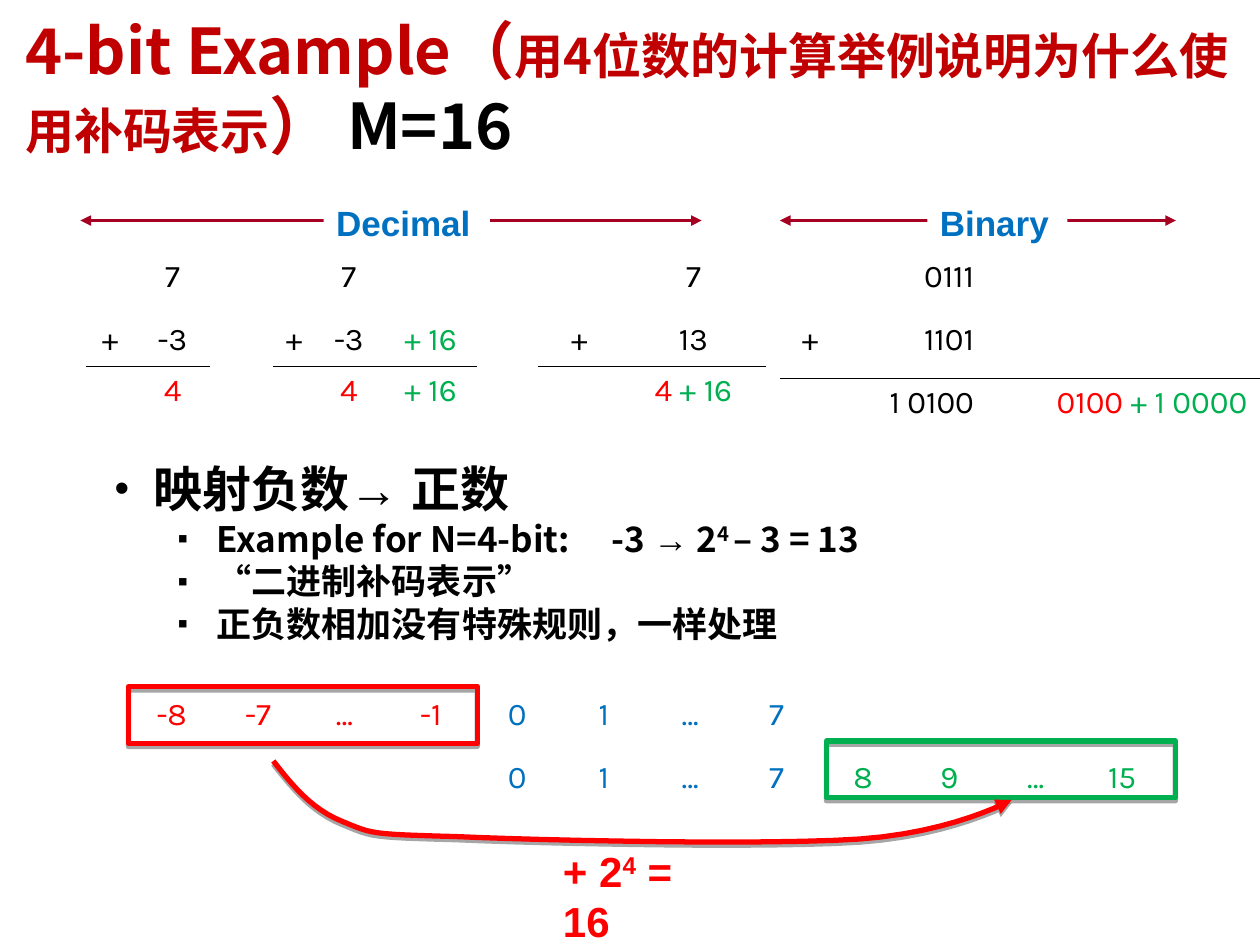
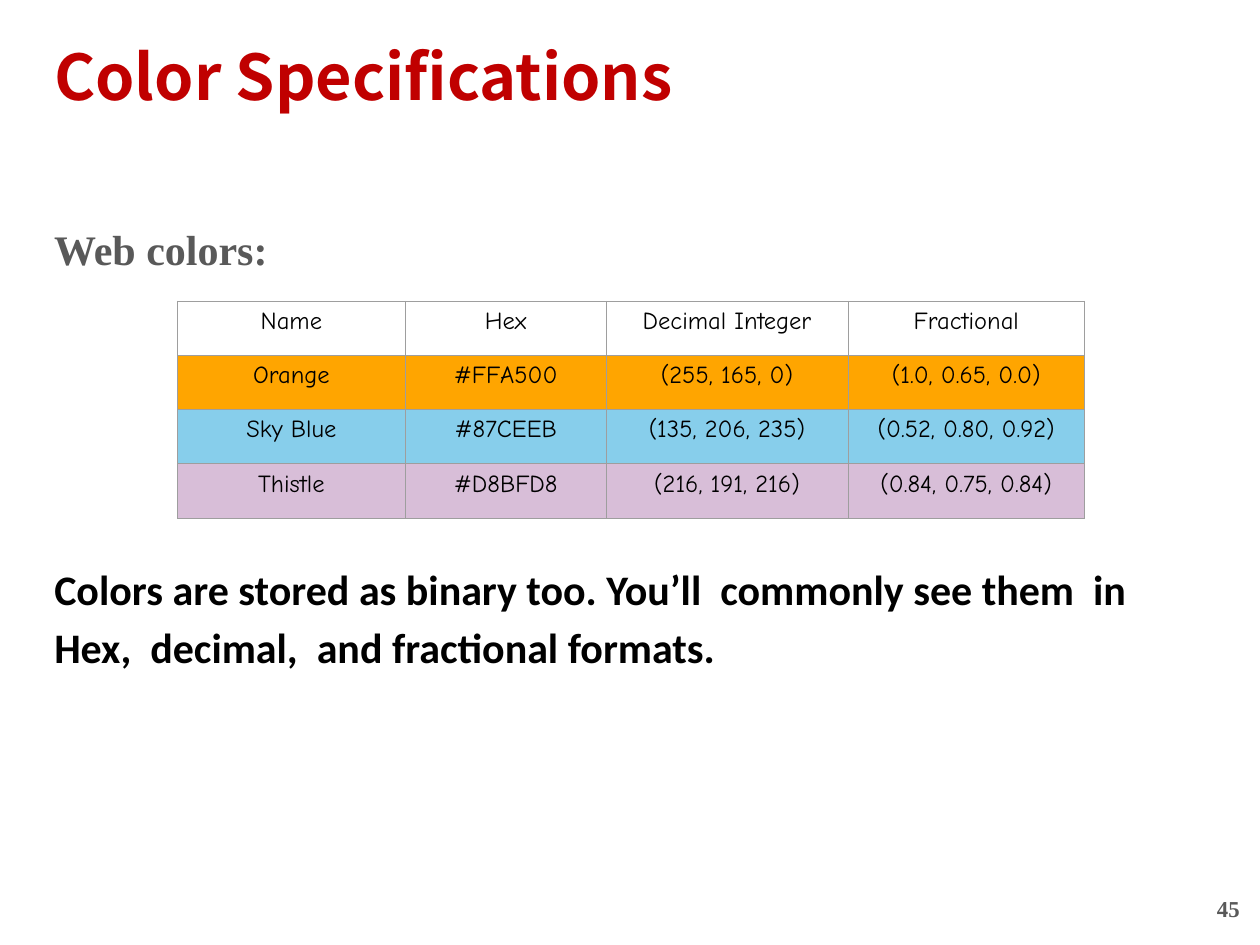
from dataclasses import dataclass

from lxml import etree
from pptx import Presentation
from pptx.dml.color import RGBColor
from pptx.enum.shapes import MSO_CONNECTOR, MSO_SHAPE
from pptx.enum.text import MSO_ANCHOR, MSO_AUTO_SIZE, PP_ALIGN
from pptx.oxml.ns import qn
from pptx.util import Pt

LEFT, CENTER, RIGHT = PP_ALIGN.LEFT, PP_ALIGN.CENTER, PP_ALIGN.RIGHT
TOP, NO_FIT = MSO_ANCHOR.TOP, MSO_AUTO_SIZE.NONE
STRAIGHT, RECTANGLE = MSO_CONNECTOR.STRAIGHT, MSO_SHAPE.RECTANGLE
PLAIN_TABLE = "{2D5ABB26-0587-4C30-8999-92F81FD0307C}"
INSETS = (7.2, 3.6, 7.2, 3.6)
NO_INSETS = (0, 0, 0, 0)


@dataclass(frozen=True)
class Theme:
    black: str = "000000"
    white: str = "FFFFFF"
    title: str = "C00000"
    red: str = "FF0000"
    green: str = "00B050"
    blue: str = "0070C0"
    arrow: str = "A50021"
    gray: str = "595959"
    grid: str = "9E9E9E"
    cjk: str = "Noto Sans CJK SC"
    sans: str = "Arial"
    title_size: int = 36
    heading_size: int = 28
    body_size: int = 24
    label_size: int = 20
    number_size: int = 18
    cell_size: int = 14
    page_size: int = 13


T = Theme()
TITLE = dict(name=T.cjk, size=T.title_size, color=T.title, bold=True)
LABEL = dict(name=T.sans, size=T.label_size, color=T.blue, bold=True)
NUMBER = dict(name="Karla", size=T.number_size, color=T.black)
CELL = dict(name="Comic Neue", size=T.cell_size, color=T.black)
NOTE = dict(name="Times New Roman", color=T.gray, bold=True)


def rgb(value):
    return RGBColor.from_string(value)


def add_xml(parent, tag, **attrs):
    return etree.SubElement(parent, qn(tag), attrs)


def add_runs(p, runs, base):
    """Add (text, changes) pairs, each formatted by base plus its changes."""
    for text, changes in runs:
        r = p.add_run()
        r.text = text
        fmt = {**base, **changes}
        r.font.color.rgb = rgb(fmt.pop("color"))
        raised = fmt.pop("raised", False)
        fmt["size"] = Pt(fmt["size"])
        for key, value in fmt.items():
            setattr(r.font, key, value)
        rPr = r._r.get_or_add_rPr()
        add_xml(rPr, "a:ea", typeface=fmt["name"])
        if raised:
            rPr.set("baseline", "30000")


def set_frame(sp, insets, wrap=True):
    tf = sp.text_frame
    tf.word_wrap = wrap
    tf.auto_size = NO_FIT
    tf.vertical_anchor = TOP
    for side, value in zip(("left", "top", "right", "bottom"), insets):
        setattr(tf, f"margin_{side}", Pt(value))
    return tf


def place(sp, box):
    for side, value in zip(("left", "top", "width", "height"), box):
        setattr(sp, side, Pt(value))


def format_paragraph(p, spacing=None):
    for key, value in dict(alignment=LEFT, space_before=Pt(0), space_after=Pt(0),
                           line_spacing=spacing).items():
        setattr(p, key, value)


def add_text(slide, box, runs, base, insets=INSETS, wrap=True):
    sp = slide.shapes.add_textbox(*map(Pt, box))
    add_runs(set_frame(sp, insets, wrap).paragraphs[0], runs, base)
    return sp


def set_title(slide, box, runs, insets):
    sp = slide.shapes.title
    place(sp, box)
    sp.fill.solid()
    sp.fill.fore_color.rgb = rgb(T.white)
    p = set_frame(sp, insets).paragraphs[0]
    format_paragraph(p, Pt(43))
    add_runs(p, runs, TITLE)


def add_border(cell, side, color, width):
    ln = add_xml(cell._tc.get_or_add_tcPr(), f"a:ln{side}", w=str(Pt(width)))
    add_xml(add_xml(ln, "a:solidFill"), "a:srgbClr", val=color)


def add_grid(slide, left, top, widths, heights, style_cell):
    """Add an unstyled table and let style_cell(cell, row, col) fill each cell."""
    frame = slide.shapes.add_table(len(heights), len(widths), Pt(left), Pt(top),
                                   Pt(sum(widths)), Pt(sum(heights)))
    table = frame.table
    table.first_row = table.horz_banding = False
    table._tbl.tblPr.find(qn("a:tableStyleId")).text = PLAIN_TABLE
    for col, width in zip(table.columns, widths):
        col.width = Pt(width)
    for i, height in enumerate(heights):
        table.rows[i].height = Pt(height)
        for j in range(len(widths)):
            style_cell(table.cell(i, j), i, j)


def add_sum(slide, left, widths, heights, rows, align=CENTER):
    """Add a worked sum with a rule above its result row."""
    def style(cell, i, j):
        if i > 0:
            add_border(cell, "B" if i == 1 else "T", T.black, 0.45)
        cell.fill.background()
        p = cell.text_frame.paragraphs[0]
        p.alignment = align if j else CENTER
        add_runs(p, rows[i][j], NUMBER)

    add_grid(slide, left, 144, widths, heights, style)


def add_sums(slide):
    blank, plus = [], [("+", {})]
    seven, minus = [("7", {})], [("-3", {})]
    four = [("4", dict(color=T.red))]
    shift = [("+ 16", dict(color=T.green))]
    heights = (36, 29.3, 29.3)
    add_sum(slide, 49, (28, 43.2), heights,
            [(blank, seven), (plus, minus), (blank, four)])
    add_sum(slide, 156.2, (23, 40.3, 53.3), heights,
            [(blank, seven, blank), (plus, minus, shift), (blank, four, shift)])
    add_sum(slide, 307.4, (47.5, 82.8), heights,
            [(blank, seven), (plus, [("13", {})]),
             (blank, four + [(" + 16", dict(color=T.green))])])
    result = [("0100 ", dict(color=T.red)), ("+ 1 0000", dict(color=T.green))]
    add_sum(slide, 445.7, (34.6, 83.5, 156.2), (36, 36, 29.3),
            [(blank, [("0111", {})], blank), (plus, [("1101", {})], blank),
             (blank, [("1 0100", {})], result)], RIGHT)


def add_span(slide, x1, x2, text, label_left, label_width):
    """Add a two-headed arrow with a label that covers its middle."""
    y = 126
    line = slide.shapes.add_connector(STRAIGHT, Pt(x1), Pt(y), Pt(x2), Pt(y))
    line.line.color.rgb = rgb(T.arrow)
    line.line.width = Pt(2)
    ln = line.line._get_or_add_ln()
    for end in ("a:headEnd", "a:tailEnd"):
        add_xml(ln, end, type="triangle")
    add_xml(line._element.spPr, "a:effectLst")
    sp = add_text(slide, (label_left, y - 14.4, label_width, 31.7), [(text, {})],
                  LABEL, wrap=False)
    sp.fill.solid()
    sp.fill.fore_color.rgb = rgb(T.white)


def add_bullets(slide, box):
    items = [
        (0, [("映射负数", {}), ("→ ", dict(name=T.sans)), ("正数", {})]),
        (1, [("Example for N=4-bit:\t-3 ", {}), ("→", dict(name=T.sans)),
             (" 2", {}), ("4 ", dict(raised=True)), ("– 3 = 13", {})]),
        (1, [("“二进制补码表示”", {})]),
        (1, [("正负数相加没有特殊规则，一样处理", {})]),
    ]
    levels = [("•", 22.3, T.heading_size, 35.6), ("▪", 58.3, T.label_size, 24.2)]
    sp = slide.placeholders[1]
    place(sp, box)
    tf = set_frame(sp, INSETS)
    for i, (level, runs) in enumerate(items):
        mark, indent, size, spacing = levels[level]
        p = tf.paragraphs[0] if i == 0 else tf.add_paragraph()
        p.level = level
        pPr = p._p.get_or_add_pPr()
        pPr.set("marL", str(Pt(indent)))
        pPr.set("indent", str(Pt(-22.3)))
        add_xml(add_xml(pPr, "a:buClr"), "a:srgbClr", val=T.black)
        add_xml(pPr, "a:buSzPct", val="85000")
        add_xml(pPr, "a:buFont", typeface=T.sans)
        add_xml(pPr, "a:buChar", char=mark)
        tabs = add_xml(pPr, "a:tabLst")
        for stop in (226, 284):
            add_xml(tabs, "a:tab", pos=str(Pt(stop)), algn="l")
        format_paragraph(p, Pt(spacing))
        add_runs(p, runs, dict(name=T.cjk, size=size, color=T.black, bold=True))


def outline(sp, color):
    """Give a shape no fill, a thick line and a soft shadow below."""
    sp.fill.background()
    sp.line.color.rgb = rgb(color)
    sp.line.width = Pt(3)
    sp.shadow.inherit = False
    shadow = add_xml(sp._element.spPr.find(qn("a:effectLst")), "a:outerShdw",
                     dist=str(Pt(1.8)), dir="5400000", rotWithShape="0")
    add_xml(add_xml(shadow, "a:srgbClr", val=T.black), "a:alpha", val="35000")


def bezier(p0, p1, p2, p3, steps=12):
    for k in range(1, steps + 1):
        t = k / steps
        u = 1 - t
        yield tuple(Pt(u**3 * a + 3 * u * u * t * b + 3 * u * t * t * c + t**3 * d)
                    for a, b, c, d in zip(p0, p1, p2, p3))


def add_mapping_arrow(slide, x, y):
    knots = [(0, 0), (10.8, 13.7), (21.6, 27.4), (39.6, 34.6),
             (56.9, 41.8), (55.4, 41.8), (104.4, 43.2),
             (154.1, 45.4), (282.2, 48.2), (334.8, 44.6),
             (388.1, 41), (421.9, 22.3), (421.9, 22.3)]
    knots = [(x + dx, y + dy) for dx, dy in knots]
    points = [pt for i in range(0, len(knots) - 1, 3) for pt in bezier(*knots[i:i + 4])]
    builder = slide.shapes.build_freeform(Pt(x), Pt(y))
    builder.add_line_segments(points, close=False)
    sp = builder.convert_to_shape()
    outline(sp, T.red)
    add_xml(sp.line._get_or_add_ln(), "a:tailEnd", type="triangle")


def add_number_lines(slide, left, top):
    """Show the signed range above the unsigned range it maps to."""
    shared = ["0", "1", "…", "7"]
    gap = [""] * 4
    rows = [["-8", "-7", "…", "-1"] + shared + gap, gap + shared + ["8", "9", "…", "15"]]
    colors = (T.red, T.blue, T.green)

    def style(cell, i, j):
        cell.fill.background()
        p = cell.text_frame.paragraphs[0]
        p.alignment = CENTER
        if rows[i][j]:
            add_runs(p, [(rows[i][j], {})], {**NUMBER, "color": colors[j // 4]})

    add_grid(slide, left, top, [49.4] * 12, (36, 29.3), style)
    for dx, dy, color in ((0, -2.2, T.red), (398.9, 28.8, T.green)):
        sp = slide.shapes.add_shape(RECTANGLE, Pt(left + dx), Pt(top + dy),
                                    Pt(199.4), Pt(32.4))
        outline(sp, color)
    add_mapping_arrow(slide, left + 82.8, top + 40.3)
    add_text(slide, (left + 241.2, top + 85, 109.4, 36),
             [("+ 2", {}), ("4", dict(raised=True)), (" = 16", {})],
             {**LABEL, "size": T.body_size, "color": T.red})


def build_example(slide):
    set_title(slide, (0, 0, 720, 104.4),
              [("4-bit Example（", {}),
               ("用4位数的计算举例说明为什么使用补码表示", dict(size=T.heading_size)),
               ("） ", {}), ("M=16", dict(color=T.black))], (14.4, 6.6, 14.4, 3.6))
    add_sums(slide)
    add_span(slide, 46, 401, "Decimal", 185, 95)
    add_span(slide, 445.7, 672, "Binary", 530, 80)
    add_bullets(slide, (58.3, 256.3, 443.5, 113))
    add_number_lines(slide, 73.4, 394.6)


def add_color_table(slide, left, top):
    rows = [
        (T.white, "Name", "Hex", "Decimal Integer", "Fractional"),
        ("FFA500", "Orange", "#FFA500", "(255, 165, 0)", "(1.0, 0.65, 0.0)"),
        ("87CEEB", "Sky Blue", "#87CEEB", "(135, 206, 235)", "(0.52, 0.80, 0.92)"),
        ("D8BED8", "Thistle", "#D8BFD8", "(216, 191, 216)", "(0.84, 0.75, 0.84)"),
    ]

    def style(cell, i, j):
        for side in "LRTB":
            add_border(cell, side, T.grid, 0.34)
        cell.fill.solid()
        cell.fill.fore_color.rgb = rgb(rows[i][0])
        p = cell.text_frame.paragraphs[0]
        p.alignment = CENTER
        add_runs(p, [(rows[i][j + 1], {})], CELL)

    add_grid(slide, left, top, (130, 115, 138, 135.4), [31] * 4, style)


def build_colors(slide):
    set_title(slide, (30.2, 18.7, 479.5, 48.2), [("Color Specifications", {})],
              (0.7, 3, 0, 0))
    add_text(slide, (693.4, 510.5, 22, 16.6), [("45", {})],
             {**NOTE, "size": T.page_size}, (2, 0.7, 0, 0))
    add_text(slide, (31, 128, 275.8, 28.8), [("Web colors:", {})],
             {**NOTE, "size": T.body_size}, NO_INSETS)
    sp = slide.placeholders[1]
    place(sp, (31, 317.5, 655, 66.2))
    p = set_frame(sp, NO_INSETS).paragraphs[0]
    pPr = p._p.get_or_add_pPr()
    pPr.set("marL", "0")
    pPr.set("indent", "0")
    add_xml(pPr, "a:buNone")
    format_paragraph(p, 1.15)
    add_runs(p, [("Colors are stored as binary too. You’ll  commonly see them  in  "
                  "Hex,  decimal,  and fractional formats.", {})],
             dict(name="Calibri", size=T.body_size, color=T.black, bold=True))
    add_color_table(slide, 101.5, 172)


def main():
    prs = Presentation()
    prs.slide_width, prs.slide_height = Pt(720), Pt(540)
    for build in (build_example, build_colors):
        build(prs.slides.add_slide(prs.slide_layouts[1]))
    prs.save("out.pptx")


if __name__ == "__main__":
    main()
